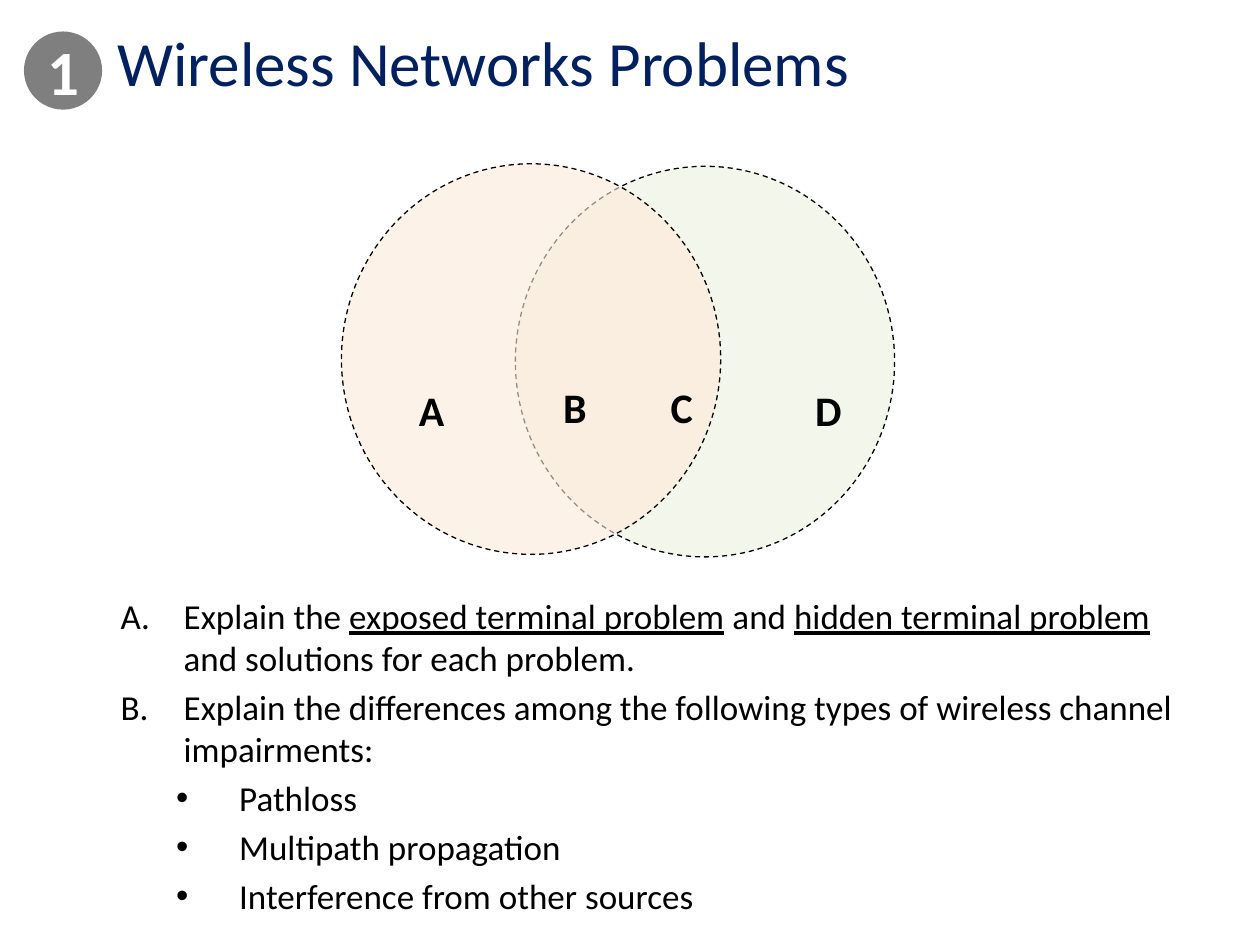
from lxml.etree import SubElement
from pptx import Presentation
from pptx.dml.color import RGBColor
from pptx.enum.dml import MSO_LINE
from pptx.enum.shapes import MSO_SHAPE
from pptx.enum.text import MSO_ANCHOR, PP_ALIGN
from pptx.oxml.ns import qn
from pptx.util import Inches, Pt

FONT = "Calibri"
NAVY = RGBColor(0x00, 0x20, 0x60)
GRAY = RGBColor(0x7F, 0x7F, 0x7F)
BLACK = RGBColor(0x00, 0x00, 0x00)
WHITE = RGBColor(0xFF, 0xFF, 0xFF)
PALE_GREEN = RGBColor(0xEB, 0xF1, 0xDE)
PALE_ORANGE = RGBColor(0xFD, 0xEA, 0xDA)

QUESTIONS = [
    [("Explain the ", False), ("exposed terminal problem", True), (" and ", False),
     ("hidden terminal problem", True), (" and solutions for each problem.", False)],
    [("Explain the differences among the following types of wireless channel impairments:", False)],
]
IMPAIRMENTS = ["Pathloss", "Multipath propagation", "Interference from other sources"]


def format_font(font, size, color, bold=False):
    font.name = FONT
    font.size = Pt(size)
    font.bold = bold
    font.color.rgb = color


def add_circle(shapes, left, top, width, height, color):
    circle = shapes.add_shape(MSO_SHAPE.OVAL, Inches(left), Inches(top), Inches(width), Inches(height))
    circle.shadow.inherit = False
    circle.fill.solid()
    circle.fill.fore_color.rgb = color
    return circle


def add_heading(slide, left, top, width, height):
    title = slide.shapes.title
    title.left, title.top = Inches(left + 0.64), Inches(top)
    title.width, title.height = Inches(width - 0.64), Inches(height)
    title.text_frame.text = "Wireless Networks Problems"
    title.text_frame.vertical_anchor = MSO_ANCHOR.MIDDLE
    paragraph = title.text_frame.paragraphs[0]
    paragraph.alignment = PP_ALIGN.LEFT
    format_font(paragraph.runs[0].font, 36, NAVY)

    badge = add_circle(slide.shapes, left, top + 0.12, 0.62, 0.62, GRAY)
    badge.line.fill.background()
    frame = badge.text_frame
    frame.margin_left = frame.margin_right = frame.margin_top = frame.margin_bottom = 0
    frame.vertical_anchor = MSO_ANCHOR.MIDDLE
    frame.text = "1"
    frame.paragraphs[0].alignment = PP_ALIGN.CENTER
    format_font(frame.paragraphs[0].runs[0].font, 36, WHITE, True)


def add_range_diagram(slide, left, top):
    group = slide.shapes.add_group_shape()
    for x, y, color in [(1.38, 0.02, PALE_GREEN), (0, 0, PALE_ORANGE)]:
        circle = add_circle(group.shapes, left + x, top + y, 3.01, 3.1, color)
        fill_color = circle.fill._xPr.find(qn("a:solidFill"))[0]
        SubElement(fill_color, qn("a:alpha"), val="60000")
        circle.line.color.rgb = BLACK
        circle.line.width = Pt(0.75)
        circle.line.dash_style = MSO_LINE.DASH

    for name, x, y, width in [("A", 0.51, 1.7, 0.41), ("B", 1.66, 1.68, 0.38),
                              ("C", 2.51, 1.68, 0.38), ("D", 3.66, 1.7, 0.41)]:
        label = group.shapes.add_textbox(Inches(left + x), Inches(top + y), Inches(width), Inches(0.5))
        label.text_frame.word_wrap = False
        label.text_frame.text = name
        paragraph = label.text_frame.paragraphs[0]
        paragraph.alignment = PP_ALIGN.CENTER
        format_font(paragraph.runs[0].font, 24, BLACK, True)


def add_item(frame, index, runs, margin, bullet_tag, **bullet):
    paragraph = frame.add_paragraph() if index else frame.paragraphs[0]
    paragraph.space_before = Pt(4 if index else 0)
    properties = paragraph._p.get_or_add_pPr()
    properties.set("marL", str(Inches(margin)))
    properties.set("indent", str(Inches(-0.5)))
    if bullet_tag == "a:buChar":
        paragraph.level = 1
        SubElement(properties, qn("a:buFont"), typeface="Arial")
    SubElement(properties, qn(bullet_tag), **bullet)
    for text, underlined in runs:
        run = paragraph.add_run()
        run.text = text
        format_font(run.font, 20, BLACK)
        run.font.underline = underlined


def add_questions(slide, left, top, width, height):
    box = slide.shapes.add_textbox(Inches(left), Inches(top), Inches(width), Inches(height))
    frame = box.text_frame
    frame.word_wrap = True
    for index, runs in enumerate(QUESTIONS):
        add_item(frame, index, runs, 0.5, "a:buAutoNum", type="alphaUcPeriod")
    for index, text in enumerate(IMPAIRMENTS, len(QUESTIONS)):
        add_item(frame, index, [(text, False)], 0.94, "a:buChar", char="•")


def main():
    presentation = Presentation()
    presentation.slide_width = Inches(10)
    presentation.slide_height = Inches(7.5)
    slide = presentation.slides.add_slide(presentation.slide_layouts[5])
    add_heading(slide, 0.19, 0.13, 8.96, 0.72)
    add_questions(slide, 0.86, 4.67, 8.83, 2.54)
    add_range_diagram(slide, 2.71, 1.3)
    presentation.save("out.pptx")


if __name__ == "__main__":
    main()
